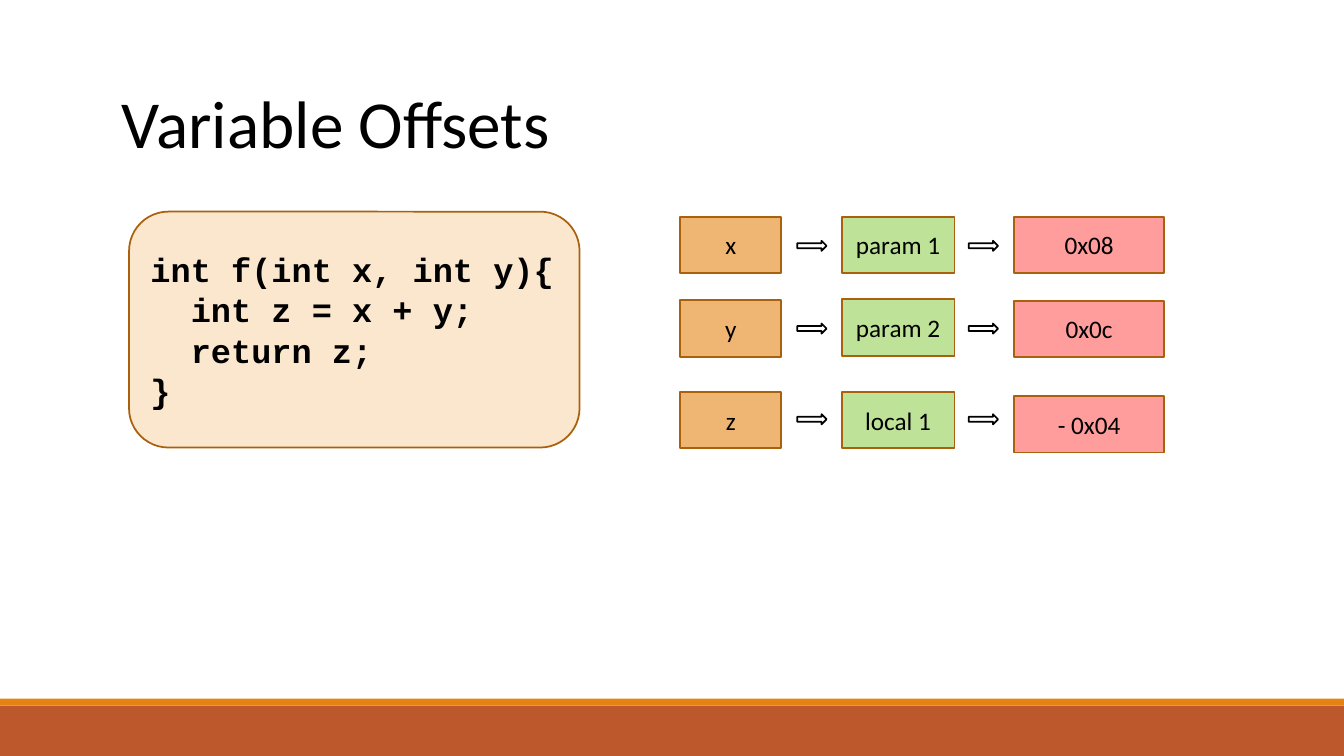
from dataclasses import dataclass

from lxml import etree
from pptx import Presentation
from pptx.dml.color import RGBColor
from pptx.enum.shapes import MSO_SHAPE
from pptx.enum.text import MSO_ANCHOR, PP_ALIGN
from pptx.oxml.ns import qn
from pptx.util import Pt

RECT = MSO_SHAPE.RECTANGLE
ROUND = MSO_SHAPE.ROUNDED_RECTANGLE
ARROW = MSO_SHAPE.RIGHT_ARROW
MIDDLE = MSO_ANCHOR.MIDDLE
LEFT = PP_ALIGN.LEFT
CENTER = PP_ALIGN.CENTER

BLACK = "000000"
BROWN = "A9610D"
TITLE = {"name": "Calibri", "size": Pt(48), "bold": False}
LABEL = {"name": "Calibri", "size": Pt(18), "bold": False}
CODE = {"name": "Courier New", "size": Pt(24), "bold": True}
LINES = ["int f(int x, int y){", "  int z = x + y;", "  return z;", "}"]


@dataclass
class Box:
    left: float
    top: float
    width: float
    height: float


@dataclass
class Column:
    left: float
    width: float
    fill: str
    alpha: int
    cells: dict[str, float]


COLUMNS = [
    Column(486, 72, "E48312", 59, {"x": 154.8, "y": 214.5, "z": 280}),
    Column(601.2, 80.6, "92D050", 59,
           {"param 1": 154.8, "param 2": 213.8, "local 1": 280}),
    Column(724.3, 107.3, "FF0000", 39,
           {"0x08": 154.8, "0x0c": 214.8, "- 0x04": 283}),
]
BANDS = [(Box(0, 504, 960, 36), "BD582C"), (Box(0, 499, 960, 5), "E48312")]


def color(code: str) -> RGBColor:
    return RGBColor.from_string(code)


def place(box: Box) -> list[Pt]:
    return [Pt(n) for n in (box.left, box.top, box.width, box.height)]


def draw(slide, kind, box: Box, fill: str, line: str = "", alpha: int = 100):
    shape = slide.shapes.add_shape(kind, *place(box))
    shape.shadow.inherit = False
    shape.fill.solid()
    shape.fill.fore_color.rgb = color(fill)
    if alpha < 100:
        tint = next(shape.fill._xPr.iter(qn("a:srgbClr")))
        etree.SubElement(tint, qn("a:alpha"), val=str(alpha * 1000))
    if line:
        shape.line.color.rgb = color(line)
        shape.line.width = Pt(1.25)
    else:
        shape.line.fill.background()
    return shape


def write(shape, lines: list[str], style: dict, align: PP_ALIGN) -> None:
    frame = shape.text_frame
    frame.word_wrap = True
    for i, words in enumerate(lines):
        para = frame.paragraphs[0] if i == 0 else frame.add_paragraph()
        para.alignment = align
        run = para.add_run()
        run.text = words
        for key, value in style.items():
            setattr(run.font, key, value)
        run.font.color.rgb = color(BLACK)


def main() -> None:
    deck = Presentation()
    deck.slide_width, deck.slide_height = Pt(960), Pt(540)
    slide = deck.slides.add_slide(deck.slide_layouts[6])

    for box, fill in BANDS:
        draw(slide, RECT, box, fill)

    title = slide.shapes.add_textbox(*place(Box(80, 54.7, 798.5, 65.5)))
    write(title, ["Variable Offsets"], TITLE, LEFT)

    code = draw(slide, ROUND, Box(92.2, 151.2, 321.8, 168.5), "FBE6CE", BROWN)
    code.text_frame.vertical_anchor = MIDDLE
    write(code, LINES, CODE, LEFT)

    for col in COLUMNS:
        for word, top in col.cells.items():
            box = Box(col.left, top, col.width, 40.3)
            cell = draw(slide, RECT, box, col.fill, BROWN, col.alpha)
            cell.text_frame.vertical_anchor = MIDDLE
            write(cell, [word], LABEL, CENTER)

    for left in (569.5, 692):
        for top in (172, 231.1, 295.9):
            draw(slide, ARROW, Box(left, top, 20.9, 7.2), "FFFFFF", BLACK)

    deck.save("out.pptx")


if __name__ == "__main__":
    main()
